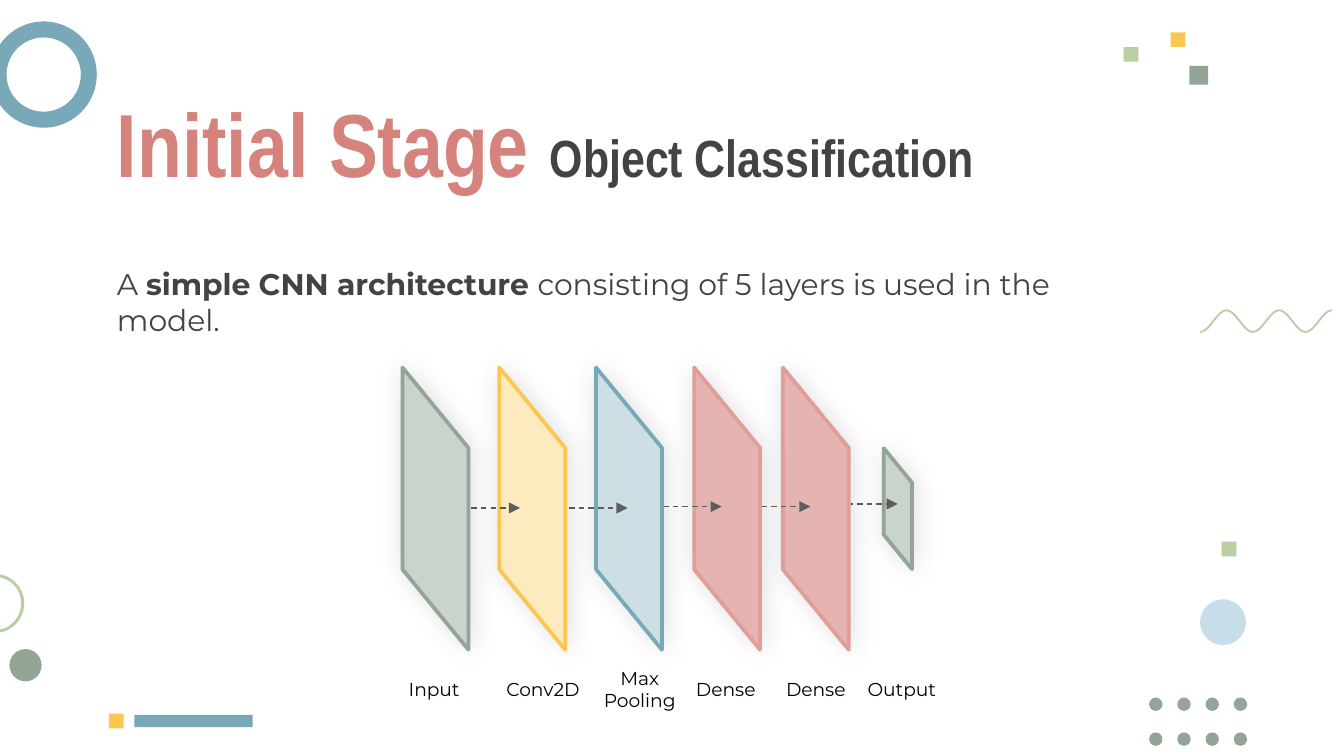
import math

import lxml.etree
import pptx
import pptx.dml.color
import pptx.enum.dml
import pptx.enum.shapes
import pptx.enum.text
import pptx.oxml.ns
import pptx.util

Inches = pptx.util.Inches
kinds = pptx.enum.shapes.MSO_SHAPE
qn = pptx.oxml.ns.qn
colors = {
    "sage": "93A597", "mist": "CBD3CD", "lime": "B9CEA2", "teal": "79A8B8",
    "sky": "C7DDEA", "pale": "CDDFE5", "gold": "FAC750", "cream": "FDEABF",
    "rose": "DF9E99", "blush": "E6B4B0", "coral": "D5837C",
    "dark": "434343", "gray": "5D5D5D", "black": "000000",
}


def rgb(name):
    return pptx.dml.color.RGBColor.from_string(colors[name])


def write(para, text, color, form):
    run = para.add_run()
    run.text = text
    for key, value in form.items():
        setattr(run.font, key, value)
    run.font.color.rgb = rgb(color)


deck = pptx.Presentation()
deck.slide_width, deck.slide_height = Inches(10), Inches(10 * 9 / 16)
slide = deck.slides.add_slide(deck.slide_layouts[1])
shapes = slide.shapes

# Title and body
title, body = slide.placeholders
spots = [(title, 0.77, 0.85, 8.74, 0.41, "MIDDLE"), (body, 0.77, 1.88, 7.36, 0.74, "TOP")]
for holder, left, top, width, height, anchor in spots:
    place = {"left": left, "top": top, "width": width, "height": height}
    for key, value in place.items():
        setattr(holder, key, Inches(value))
    frame = holder.text_frame
    frame.auto_size = pptx.enum.text.MSO_AUTO_SIZE.NONE
    frame.vertical_anchor = pptx.enum.text.MSO_ANCHOR[anchor]
    for side in ("left", "top", "right", "bottom"):
        setattr(frame, "margin_" + side, Inches(0.1))
    para = frame.paragraphs[0]
    props = para._p.get_or_add_pPr()
    props.set("marL", "0")
    props.set("indent", "0")
    lxml.etree.SubElement(props, qn("a:buNone"))
    para.alignment = pptx.enum.text.PP_ALIGN.LEFT
    para.space_before = pptx.util.Pt(0)

head = {"name": "Arial Narrow", "bold": True}
para = title.text_frame.paragraphs[0]
write(para, "Initial Stage ", "coral", {**head, "size": pptx.util.Pt(48)})
write(para, "Object Classification", "dark", {**head, "size": pptx.util.Pt(28)})

plain = {"name": "Montserrat", "size": pptx.util.Pt(16), "bold": False}
para = body.text_frame.paragraphs[0]
write(para, "A ", "dark", plain)
write(para, "simple CNN architecture ", "dark", {**plain, "bold": True})
write(para, "consisting of 5 layers is used in the model.", "dark", plain)

# Decoration
decor = [
    (kinds.DONUT, -0.07, 0.16, 0.79, 0.79, "teal", 0.15),
    (kinds.DONUT, -0.26, 4.27, 0.44, 0.44, "lime", 0.05),
    (kinds.OVAL, 8.93, 4.46, 0.34, 0.34, "sky", None),
    (kinds.OVAL, 0.07, 4.83, 0.24, 0.24, "sage", None),
    (kinds.RECTANGLE, 1, 5.32, 0.88, 0.09, "teal", None),
    (kinds.RECTANGLE, 0.81, 5.31, 0.11, 0.11, "gold", None),
    (kinds.RECTANGLE, 8.85, 0.49, 0.14, 0.14, "sage", None),
    (kinds.RECTANGLE, 8.36, 0.35, 0.11, 0.11, "lime", None),
    (kinds.RECTANGLE, 8.71, 0.24, 0.11, 0.11, "gold", None),
    (kinds.RECTANGLE, 9.09, 4.03, 0.11, 0.11, "lime", None),
]
for row in range(2):
    for col in range(4):
        decor.append((kinds.OVAL, 8.55 + 0.21 * col, 5.19 + 0.26 * row, 0.1, 0.1, "sage", None))
for kind, left, top, width, height, color, ratio in decor:
    shape = shapes.add_shape(kind, Inches(left), Inches(top), Inches(width), Inches(height))
    shape.shadow.inherit = False
    shape.fill.solid()
    shape.fill.fore_color.rgb = rgb(color)
    shape.line.fill.background()
    if ratio:
        shape.adjustments[0] = ratio

steps = 100
points = [
    (Inches(8.93 + 0.98 * i / steps), Inches(2.39 + 0.08 * math.cos(5 * math.pi * i / steps)))
    for i in range(steps + 1)
]
curve = shapes.build_freeform(*points[0])
curve.add_line_segments(points[1:], close=False)
wave = curve.convert_to_shape()
wave.shadow.inherit = False
wave.fill.background()
wave.line.color.rgb = rgb("lime")
wave.line.width = pptx.util.Pt(1)

# Layers from back to front, each with the arrow that leads into it
layers = [
    ("Output", 6.23, 3.68, 0.9, 0.21, "mist", "sage", 6.71, (6.04, 3.77, 3.75)),
    ("Dense", 5.02, 3.54, 2.1, 0.49, "blush", "rose", 6.07, (5.39, 3.78, 3.77)),
    ("Dense", 4.36, 3.54, 2.1, 0.49, "blush", "rose", 5.4, (4.73, 3.78, 3.77)),
    ("Max\nPooling", 3.63, 3.54, 2.1, 0.49, "pale", "teal", 4.76, (4.03, 3.79, 3.78)),
    ("Conv2D", 2.91, 3.54, 2.1, 0.49, "cream", "gold", 4.04, (3.23, 3.79, 3.78)),
    ("Input", 2.19, 3.54, 2.1, 0.49, "mist", "sage", 3.23, None),
]
for name, left, top, width, height, fill, edge, center, arrow in layers:
    layer = shapes.add_shape(
        kinds.PARALLELOGRAM, Inches(left), Inches(top), Inches(width), Inches(height))
    layer.rotation = 90
    layer.adjustments[0] = 1.22
    layer.fill.solid()
    layer.fill.fore_color.rgb = rgb(fill)
    layer.line.color.rgb = rgb(edge)
    layer.line.width = pptx.util.Pt(2)
    layer.shadow.inherit = False
    props = layer._element.spPr
    lxml.etree.SubElement(props.find(qn("a:ln")), qn("a:round"))
    shade = lxml.etree.SubElement(
        props.find(qn("a:effectLst")), qn("a:outerShdw"),
        blurRad=str(pptx.util.Pt(14)), dist=str(pptx.util.Pt(1)),
        dir=str(359 * 60000), algn="l", rotWithShape="0")
    tint = lxml.etree.SubElement(shade, qn("a:srgbClr"), val=colors["black"])
    lxml.etree.SubElement(tint, qn("a:alpha"), val="13000")

    if arrow:
        start, y1, y2 = arrow
        link = shapes.add_connector(
            pptx.enum.shapes.MSO_CONNECTOR.ELBOW,
            Inches(start), Inches(y1), Inches(start + 0.64), Inches(y2))
        link.line.color.rgb = rgb("gray")
        link.line.width = pptx.util.Pt(0.75)
        link.line.dash_style = pptx.enum.dml.MSO_LINE.DASH
        props = link._element.spPr
        lxml.etree.SubElement(props.find(qn("a:ln")), qn("a:tailEnd"), type="triangle")
        lxml.etree.SubElement(props, qn("a:effectLst"))
        bend = props.find(qn("a:prstGeom")).find(qn("a:avLst"))
        lxml.etree.SubElement(bend, qn("a:gd"), name="adj1", fmla="val 19600")

    tall = 0.44 if "\n" in name else 0.27
    label = shapes.add_textbox(
        Inches(center - 0.4), Inches(5.13 - tall / 2), Inches(0.8), Inches(tall))
    label.text_frame.word_wrap = False
    para = label.text_frame.paragraphs[0]
    para.alignment = pptx.enum.text.PP_ALIGN.CENTER
    for i, word in enumerate(name.split("\n")):
        if i:
            para.add_line_break()
        write(para, word, "black", {**plain, "size": pptx.util.Pt(10)})

deck.save("out.pptx")
